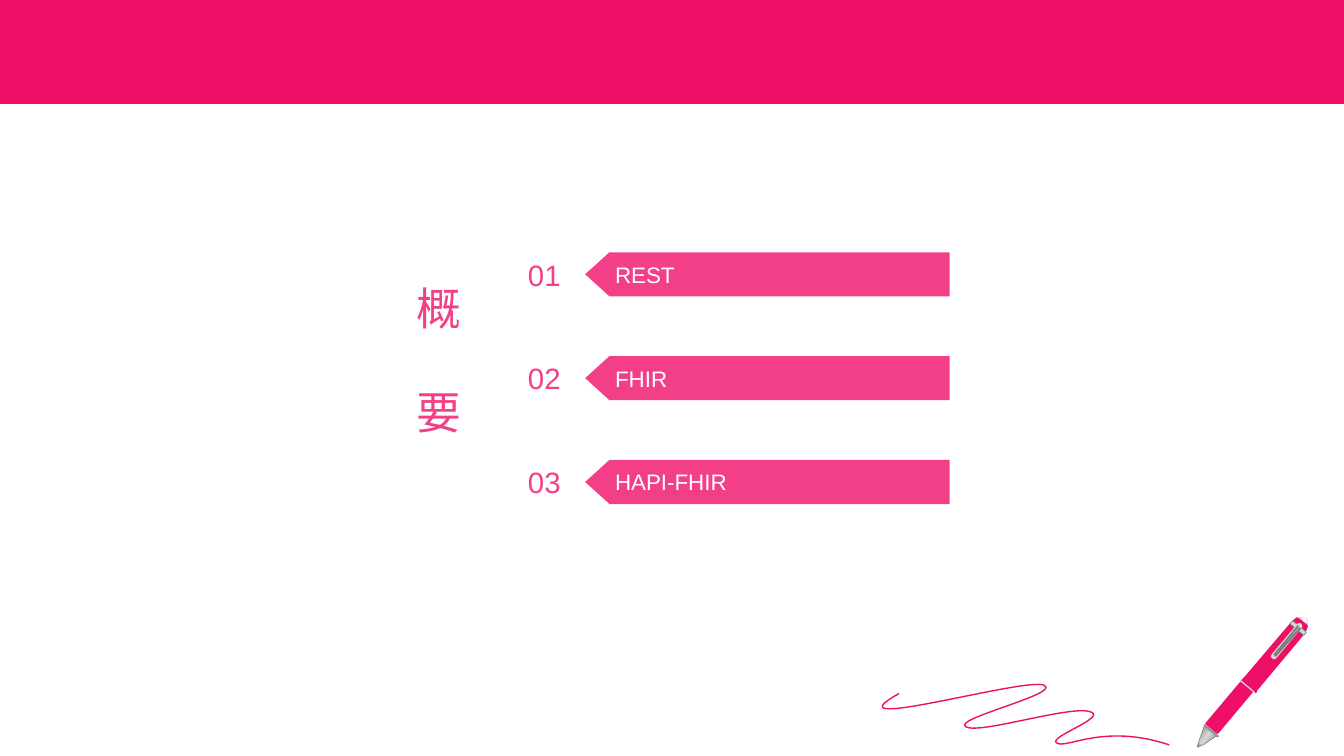
import pptx
import pptx.util
import pptx.dml.color
import pptx.enum.shapes
import pptx.enum.text
import pptx.oxml
import pptx.oxml.ns

Pt = pptx.util.Pt
KIND = pptx.enum.shapes.MSO_SHAPE
ALIGN = pptx.enum.text.PP_ALIGN
ANCHOR = pptx.enum.text.MSO_ANCHOR
SPACE = pptx.oxml.ns.nsdecls("a")
HOT, PINK, WHITE, GREY, PALE = "EE0F68", "F33F88", "FFFFFF", "7F7F7F", "D8D8D8"

TITLE = ["概", " ", "要"]
ITEMS = ["REST", "FHIR", "HAPI-FHIR"]
TOP, STEP, TALL = 180.2, 74.16, 31.5

SHINE = (90, [(0, GREY), (50, WHITE), (100, GREY)])
STEEL = (40, [(0, GREY), (50, PALE), (100, GREY)])
DARK = (40, [(0, "262626"), (36, GREY), (65, WHITE), (80, WHITE), (100, "262626")])
TILT = 310

NIB = [(856.1, 531.4), (856.1, 530.6), (858.2, 528.5), (859.7, 529.2),
       (857.5, 532.1), (857.5, 532.8), (855.4, 533.5)]
CONE = [(860.4, 518.4), (869, 525.6), (858.2, 532.8), (856.1, 530.6)]
BARREL = [(926.6, 441.4), (927.4, 441.4, 933.8, 447.1, 933.8, 447.1),
          (933.8, 447.8, 932.4, 450.7, 931.7, 452.2), (899.3, 491),
          (897.8, 492.5, 897.1, 493.2, 897.1, 494.6), (887, 486),
          (887.8, 485.3, 888.5, 484.6, 889.9, 483.1), (922.3, 445),
          (923.8, 443.5, 925.9, 441.4, 926.6, 441.4)]
SCRAWL = [(642.2, 495.4), (588.2, 525.6, 733.7, 483.1, 745.9, 489.6),
          (758.2, 495.4, 680.4, 513.4, 689.8, 519.1),
          (699.1, 524.9, 763.2, 504, 778.3, 508.3),
          (792.7, 511.9, 748.8, 526.3, 754.6, 530.6),
          (761, 535.7, 787.7, 516.2, 835.2, 532.1)]
RINGS = [((890.6, 483.8, 0.9, 13), 0, None),
         ((864.7, 515.5, 0.9, 13), 0.37, (GREY, 0.5)),
         ((925.9, 442.1, 2.9, 13), 0.2, (GREY, 0.5)),
         ((902.9, 455.8, 32.4, 4.3), 0.5, None)]
SLOTS = [(910.8, 468.7, 928.8, 448.6), (910.1, 468, 927.4, 447.1)]

deck = pptx.Presentation()
deck.slide_width, deck.slide_height = Pt(960), Pt(540)
shapes = deck.slides.add_slide(deck.slide_layouts[6]).shapes


def hue(code):
    return pptx.dml.color.RGBColor.from_string(code)


def put(thing, values):
    for name, value in values.items():
        setattr(thing, name, value)


def blend(shape, angle, stops):
    shape.fill.gradient()
    shape.fill.gradient_angle = -angle % 360
    bag = next(shape._element.iter(pptx.oxml.ns.qn("a:gsLst")))
    for old in list(bag):
        bag.remove(old)
    for spot, code in stops:
        bag.append(pptx.oxml.parse_xml(
            f'<a:gs {SPACE} pos="{spot * 1000}"><a:srgbClr val="{code}"/></a:gs>'))


def stroke(line, code, width):
    line.color.rgb = hue(code)
    line.width = Pt(width)


def paint(shape, fill, line=None):
    shape.shadow.inherit = False
    if fill is None:
        shape.fill.background()
    elif isinstance(fill, tuple):
        blend(shape, *fill)
    else:
        shape.fill.solid()
        shape.fill.fore_color.rgb = hue(fill)
    if line:
        stroke(shape.line, *line)
    else:
        shape.line.fill.background()
    return shape


def block(box, fill, line=None, curve=0, turn=0):
    kind = KIND.ROUNDED_RECTANGLE if curve else KIND.RECTANGLE
    shape = shapes.add_shape(kind, *map(Pt, box))
    if curve:
        shape.adjustments[0] = curve
    shape.rotation = turn
    return paint(shape, fill, line)


def draw(dots, close=True):
    dots = [(Pt(x), Pt(y)) for x, y in dots]
    maker = shapes.build_freeform(*dots[0])
    maker.add_line_segments(dots[1:], close=close)
    return maker.convert_to_shape()


def outline(route, fill, line=None):
    return paint(draw(route), fill, line)


def bend(route, box, fill, line, close=True):
    left, top, right, low = box
    shape = draw([(left, top), (right, low)], close)
    track = next(shape._element.iter(pptx.oxml.ns.qn("a:path")))
    for old in list(track):
        track.remove(old)
    for i, part in enumerate(route):
        tag = "moveTo" if i == 0 else "lnTo" if len(part) == 2 else "cubicBezTo"
        dots = "".join(f'<a:pt x="{Pt(x - left)}" y="{Pt(y - top)}"/>'
                       for x, y in zip(part[::2], part[1::2]))
        track.append(pptx.oxml.parse_xml(f"<a:{tag} {SPACE}>{dots}</a:{tag}>"))
    if close:
        track.append(pptx.oxml.parse_xml(f"<a:close {SPACE}/>"))
    return paint(shape, fill, line)


def write(shape, texts, size, code, align, pads=(0, 0, 0, 0), anchor=ANCHOR.MIDDLE):
    frame = shape.text_frame
    sides = ("margin_left", "margin_top", "margin_right", "margin_bottom")
    put(frame, dict(zip(sides, map(Pt, pads)), word_wrap=True, vertical_anchor=anchor))
    para = frame.paragraphs[0]
    para.alignment = align
    for text in texts:
        run = para.add_run()
        run.text = text
        put(run.font, {"size": Pt(size), "name": "Arial"})
        run.font.color.rgb = hue(code)
    return para


block((0, 0, 960, 74.2), HOT)
block((920.2, 443.5, 15.1, 7.9), SHINE, curve=0.5, turn=TILT)
outline(NIB, DARK, (GREY, 0.75))
block((857.5, 499, 41, 13), HOT, (WHITE, 1), 0.11, TILT)
outline(CONE, STEEL, (GREY, 0.25))
bend(BARREL, (887, 441.4, 933.8, 494.6), HOT, (HOT, 1))
for box, curve, line in RINGS:
    block(box, PALE, line, curve, TILT)
for slot in SLOTS:
    rod = shapes.add_connector(pptx.enum.shapes.MSO_CONNECTOR.STRAIGHT, *map(Pt, slot))
    stroke(rod.line, GREY, 1.5)
    rod._element.spPr.append(pptx.oxml.parse_xml(f"<a:effectLst {SPACE}/>"))
bend(SCRAWL, (630, 488.9, 835.2, 532.1), None, (HOT, 1), close=False)

head = shapes.add_textbox(*map(Pt, (281.5, 197.3, 53.3, 145.4)))
para = write(head, TITLE, 32, PINK, ALIGN.LEFT, (7.2, 3.6, 7.2, 3.6), ANCHOR.TOP)
head.text_frame._txBody.bodyPr.set("vert", "eaVert")
para.runs[1].font._element.set("spc", "3500")

for i, item in enumerate(ITEMS):
    top = TOP + i * STEP
    mid, low = top + TALL / 2, top + TALL
    label = shapes.add_textbox(*map(Pt, (360, top, 57.6, TALL)))
    write(label, [f"{i + 1:02}"], 21, PINK, ALIGN.CENTER)
    arrow = outline([(418, mid), (435.4, top), (678.4, top),
                     (678.4, low), (435.4, low)], PINK)
    write(arrow, [item], 16, WHITE, ALIGN.LEFT, (21.4, 3.6, 7.2, 3.6))

deck.save("out.pptx")
